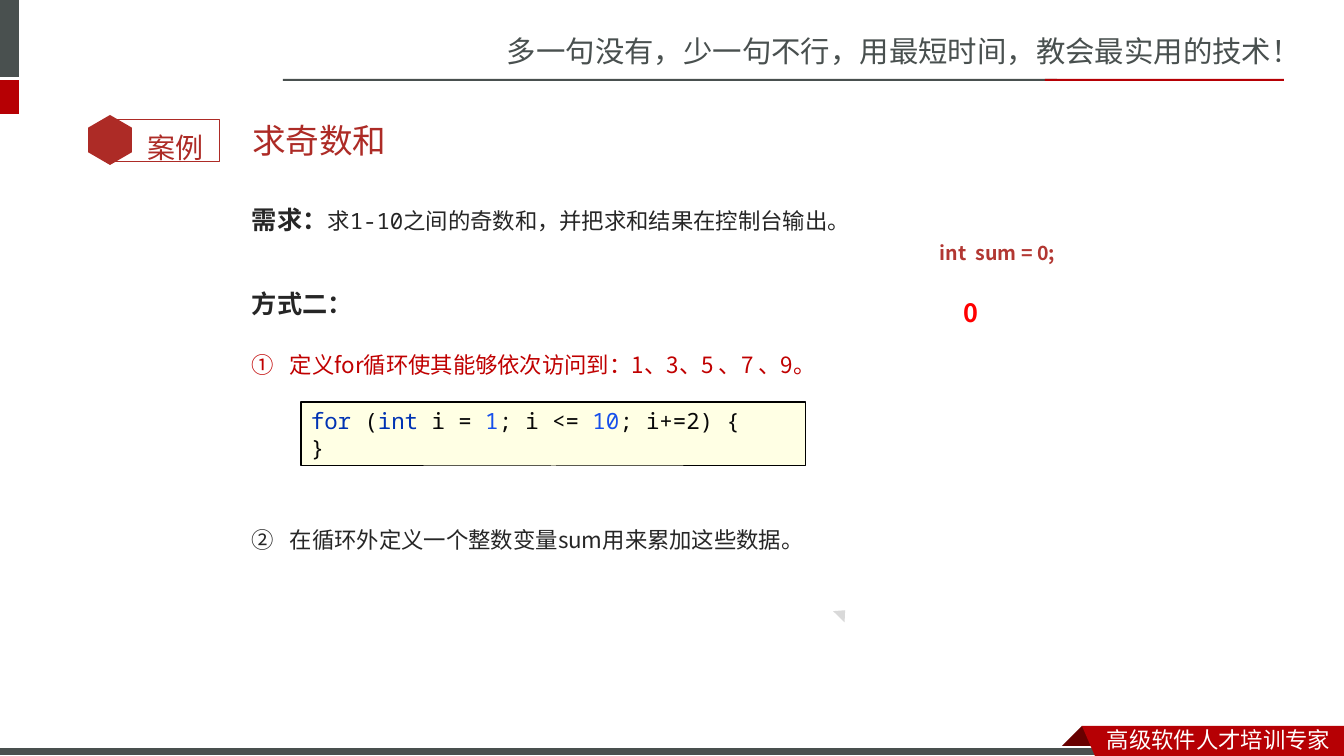
from lxml.etree import SubElement
from pptx import Presentation
from pptx.dml.color import RGBColor
from pptx.enum.shapes import MSO_SHAPE
from pptx.enum.text import MSO_ANCHOR, PP_ALIGN
from pptx.oxml.ns import qn
from pptx.util import Emu, Pt

EMU_PER_PX = 914400 / 100.8
SANS, SANS_BOLD, MONO = "Noto Sans CJK SC", "Noto Sans CJK JP", "Noto Sans Mono"
GREY, RED, DARK_RED, BRICK = "49504F", "B60004", "680000", "AD2B26"
INK, STEP_RED, WHITE = "262626", "C00000", "FFFFFF"
KEYWORD, CODE_INK, NUMBER = "0033B3", "080808", "1750EB"


def px(length):
    return Emu(round(length * EMU_PER_PX))


def color(value):
    return RGBColor.from_string(value)


def paint(shape, fill=None, line=None, width=0.75):
    shape.shadow.inherit = False
    if fill:
        shape.fill.solid()
        shape.fill.fore_color.rgb = color(fill)
    else:
        shape.fill.background()
    if line:
        shape.line.color.rgb = color(line)
        shape.line.width = Pt(width)
    else:
        shape.line.fill.background()
    return shape


def add_preset(page, kind, left, top, width, height, fill=None, line=None, turn=0):
    shape = page.shapes.add_shape(kind, px(left), px(top), px(width), px(height))
    shape.rotation = turn
    return paint(shape, fill, line)


def add_outline(page, points, fill):
    builder = page.shapes.build_freeform(*points[0], scale=EMU_PER_PX)
    builder.add_line_segments(points[1:], close=True)
    return paint(builder.convert_to_shape(), fill)


def add_span(para, text, size, font, value, bold=False):
    span = para.add_run()
    span.text = text
    span.font.size = Pt(size)
    span.font.name = font
    span.font.bold = bold
    span.font.color.rgb = color(value)
    east_asian = font if font.startswith("Noto Sans CJK") else SANS
    SubElement(span.font._element, qn("a:ea")).set("typeface", east_asian)


def add_text_box(page, left, top, width, height, wrap=True):
    box = page.shapes.add_textbox(px(left), px(top), px(width), px(height))
    box.text_frame.word_wrap = wrap
    return box.text_frame


def number_step(para, start):
    """Give the paragraph a circled number and a hanging indent."""
    properties = para._p.get_or_add_pPr()
    properties.set("marL", str(px(38)))
    properties.set("indent", str(-px(38)))
    bullet = SubElement(properties, qn("a:buAutoNum"))
    bullet.set("type", "circleNumDbPlain")
    bullet.set("startAt", str(start))


def add_header(page, left, top, width):
    for bar_top, height, fill in ((0, 77, GREY), (80, 34, RED)):
        add_preset(page, MSO_SHAPE.RECTANGLE, 0, bar_top, 19, height, fill)
    frame = add_text_box(page, left + 214, top, 847, 47)
    add_span(frame.paragraphs[0], "多一句没有，少一句不行，用最短时间，教会最实用的技术！", 21, SANS, GREY)
    accent = 239
    add_preset(page, MSO_SHAPE.RECTANGLE, left, top + 51, width - accent + 12, 2, GREY)
    add_preset(page, MSO_SHAPE.RECTANGLE, left + width - accent, top + 51, accent, 2, RED)


def add_footer(page, left, top, right, bottom):
    add_outline(page, [(left, top), (left + 22, top + 22), (left + 21, top + 23),
                       (left - 21, top + 23), (left - 22, top + 22)], DARK_RED)
    add_preset(page, MSO_SHAPE.RECTANGLE, 0, bottom - 9, left + 26, 9, GREY, WHITE)
    add_outline(page, [(left, top), (right, top), (right, bottom), (left + 13, bottom)], RED)
    frame = add_text_box(page, left + 15, top - 5, right - left - 15, 37)
    add_span(frame.paragraphs[0], "高级软件人才培训专家", 16, SANS, WHITE)


def add_case_badge(page, left, top):
    add_preset(page, MSO_SHAPE.RECTANGLE, left + 21, top + 5, 110, 42, line=BRICK)
    hexagon = add_preset(page, MSO_SHAPE.HEXAGON, left - 4, top + 3, 50, 44, BRICK, turn=90)
    hexagon.adjustments[0] = 0.29
    frame = add_text_box(page, left + 49, top - 8, 86, 56)
    frame.paragraphs[0].line_spacing = Pt(37)
    add_span(frame.paragraphs[0], "案例", 20, "Roboto", BRICK)


def add_title(page, left, top, width, height):
    title = page.shapes.title
    title.left, title.top, title.width, title.height = map(px, (left, top, width, height))
    title.text_frame.vertical_anchor = MSO_ANCHOR.MIDDLE
    para = title.text_frame.paragraphs[0]
    para.alignment = PP_ALIGN.LEFT
    add_span(para, "求奇数和", 24, "Lato", BRICK)


def add_requirement(page, left, top, width, height):
    para = add_text_box(page, left, top, width, height).paragraphs[0]
    para.line_spacing = Pt(34)
    add_span(para, "需求：", 18, SANS_BOLD, INK, True)
    add_span(para, "求1-10之间的奇数和，并把求和结果在控制台输出。", 16, MONO, INK)


def add_steps(page, left, top, width, height):
    frame = add_text_box(page, left, top, width, height)
    heading = frame.paragraphs[0]
    heading.line_spacing = Pt(43)
    add_span(heading, "方式二：", 18, SANS_BOLD, INK, True)
    steps = (("定义for循环使其能够依次访问到：1、3、5 、7 、9。", STEP_RED, 0),
             ("在循环外定义一个整数变量sum用来累加这些数据。", INK, 82))
    for number, (text, value, gap) in enumerate(steps, 1):
        para = frame.add_paragraph()
        para.line_spacing = Pt(43)
        para.space_before = Pt(gap)
        number_step(para, number)
        add_span(para, text, 16, SANS_BOLD, value)


def add_code(page, left, top, width, height):
    box = add_preset(page, MSO_SHAPE.RECTANGLE, left, top, width, height, "FFFFE4", "000000")
    frame = box.text_frame
    frame.word_wrap = True
    frame.vertical_anchor = MSO_ANCHOR.MIDDLE
    lines = (
        (("for ", KEYWORD), ("(", CODE_INK), ("int ", KEYWORD), ("i = ", CODE_INK),
         ("1", NUMBER), ("; i <= ", CODE_INK), ("10", NUMBER), ("; i+=2) {", CODE_INK)),
        (("}", CODE_INK),),
    )
    for index, line in enumerate(lines):
        para = frame.add_paragraph() if index else frame.paragraphs[0]
        para.alignment = PP_ALIGN.LEFT
        for text, value in line:
            add_span(para, text, 16, MONO, value)


def add_sum_variable(page, left, top):
    declaration = add_text_box(page, left, top, 138, 34, wrap=False)
    add_span(declaration.paragraphs[0], "int  sum = 0;", 14, SANS_BOLD, "B23732", True)
    value = add_text_box(page, left + 24, top + 56, 49, 40)
    add_span(value.paragraphs[0], "0", 18, SANS_BOLD, "FF0000", True)


def main():
    deck = Presentation()
    deck.slide_width, deck.slide_height = px(1344), px(756)
    page = deck.slides.add_slide(deck.slide_layouts[5])
    add_header(page, 283, 28, 1001)
    add_footer(page, 1082, 726, 1344, 756)
    add_case_badge(page, 89, 115)
    add_title(page, 242, 112, 1016, 57)
    add_requirement(page, 242, 182, 1016, 465)
    add_steps(page, 242, 253, 719, 363)
    add_preset(page, MSO_SHAPE.ISOSCELES_TRIANGLE, 834, 609, 16, 9, "D9D9D9", turn=44.2)
    add_sum_variable(page, 930, 236)
    add_code(page, 301, 402, 505, 64)
    deck.save("out.pptx")


if __name__ == "__main__":
    main()
